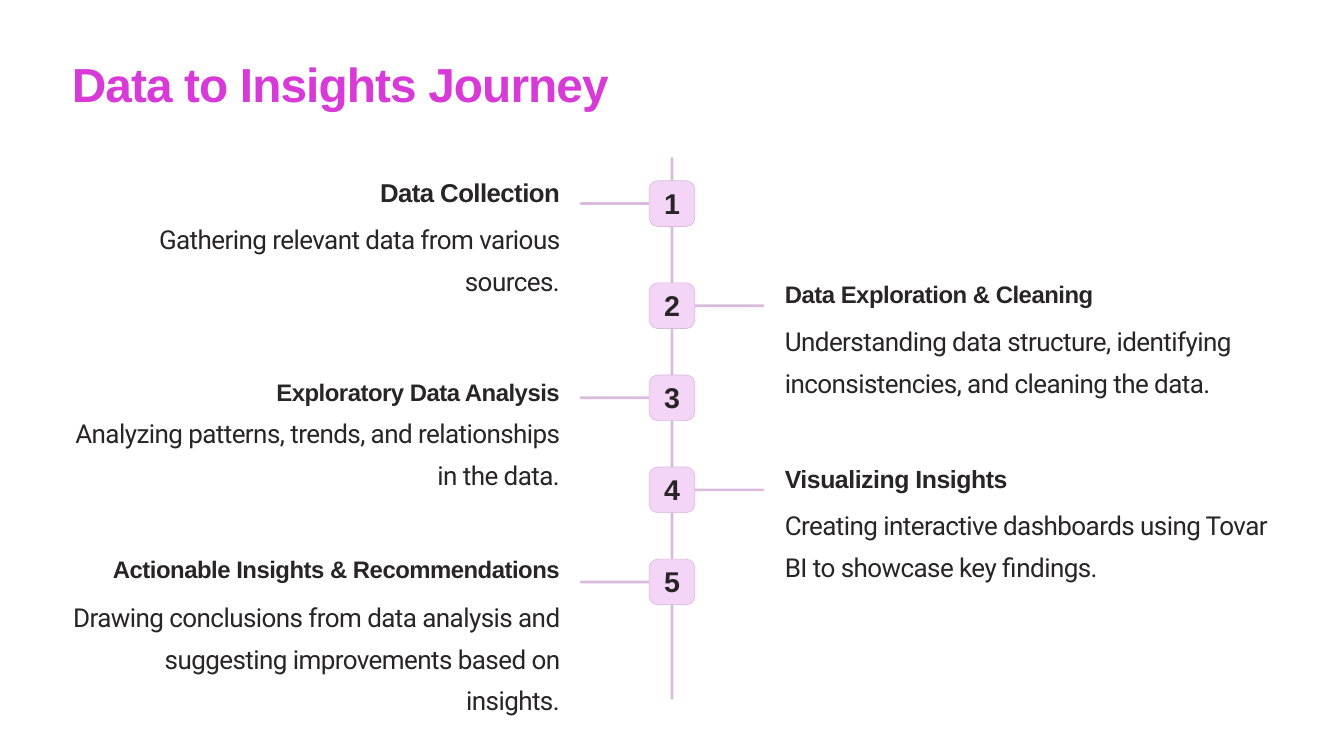
import pptx
import pptx.util
from pptx.dml.color import RGBColor
from pptx.enum.shapes import MSO_SHAPE
from pptx.enum.text import MSO_ANCHOR, PP_ALIGN

PX = 9144  # 100 px to the inch
PINK = RGBColor(0xD7, 0x3A, 0xD7)
PALE = RGBColor(0xF4, 0xD4, 0xF7)
LILAC = RGBColor(0xDA, 0xBA, 0xDD)
DARK = RGBColor(0x27, 0x25, 0x25)

deck = pptx.Presentation()
deck.slide_width, deck.slide_height = 2000 * PX, 1125 * PX
slide = deck.slides.add_slide(deck.slide_layouts[6])


def block(x, y, w, h, round_by, fill):
    shape = slide.shapes.add_shape(
        MSO_SHAPE.ROUNDED_RECTANGLE, x * PX, y * PX, w * PX, h * PX)
    shape.adjustments[0] = round_by
    shape.shadow.inherit = False
    shape.fill.solid()
    shape.fill.fore_color.rgb = fill
    shape.line.fill.background()
    return shape


def write(shape, text, size, lead, face="Arial", color=DARK,
          align=PP_ALIGN.LEFT, track=-0.6):
    """Fill a shape with one paragraph; lead and track are in points."""
    frame = shape.text_frame
    frame.word_wrap = True
    frame.margin_left = frame.margin_right = 0
    frame.margin_top = frame.margin_bottom = 0
    para = frame.paragraphs[0]
    para.text = text
    para.alignment = align
    para.line_spacing = pptx.util.Pt(lead)
    font = para.font
    font.name = face
    font.size = pptx.util.Pt(size)
    font.bold = face == "Arial"
    font.color.rgb = color
    font._rPr.set("spc", str(round(track * 100)))


title = slide.shapes.add_textbox(107 * PX, 78 * PX, 977 * PX, 91 * PX)
write(title, "Data to Insights Journey", 51.2, 64.4, color=PINK, track=-1)

block(998, 234, 4, 807, 0.5, LILAC)

# box top, heading top, heading size, heading lead, heading track, heading, body
STEPS = [
    (269, 261, 27.6, 34.4, -0.6, "Data Collection",
     "Gathering relevant data from various sources."),
    (421, 415, 25.6, 31.9, -0.5, "Data Exploration & Cleaning",
     "Understanding data structure, identifying inconsistencies, "
     "and cleaning the data."),
    (558, 560, 25.6, 31.9, -0.5, "Exploratory Data Analysis",
     "Analyzing patterns, trends, and relationships in the data."),
    (695, 688, 26.6, 33.1, -0.5, "Visualizing Insights",
     "Creating interactive dashboards using Tovar BI "
     "to showcase key findings."),
    (832, 824, 25.6, 31.9, -0.5, "Actionable Insights & Recommendations",
     "Drawing conclusions from data analysis and suggesting "
     "improvements based on insights."),
]

for num, (top, head_top, size, lead, track, head, body) in enumerate(STEPS, 1):
    if num % 2:
        bar_x, text_x, align = 863, 107, PP_ALIGN.RIGHT
    else:
        bar_x, text_x, align = 1030, 1168, PP_ALIGN.LEFT

    block(bar_x, top + 32, 107, 4, 0.5, LILAC)
    badge = block(966, top, 68, 68, 0.19, PALE)
    badge.line.color.rgb = LILAC
    badge.line.width = pptx.util.Pt(0.75)
    write(badge, str(num), 30.6, 30.6, align=PP_ALIGN.CENTER)
    badge.text_frame.vertical_anchor = MSO_ANCHOR.MIDDLE
    badge.text_frame.margin_top = 6 * PX

    label = slide.shapes.add_textbox(
        text_x * PX, head_top * PX, 726 * PX, 44 * PX)
    write(label, head, size, lead, align=align, track=track)
    note = slide.shapes.add_textbox(
        text_x * PX, (top + 48) * PX, 726 * PX, 119 * PX)
    write(note, body, 27.9, 44.6, face="Roboto", align=align)

deck.save("out.pptx")
